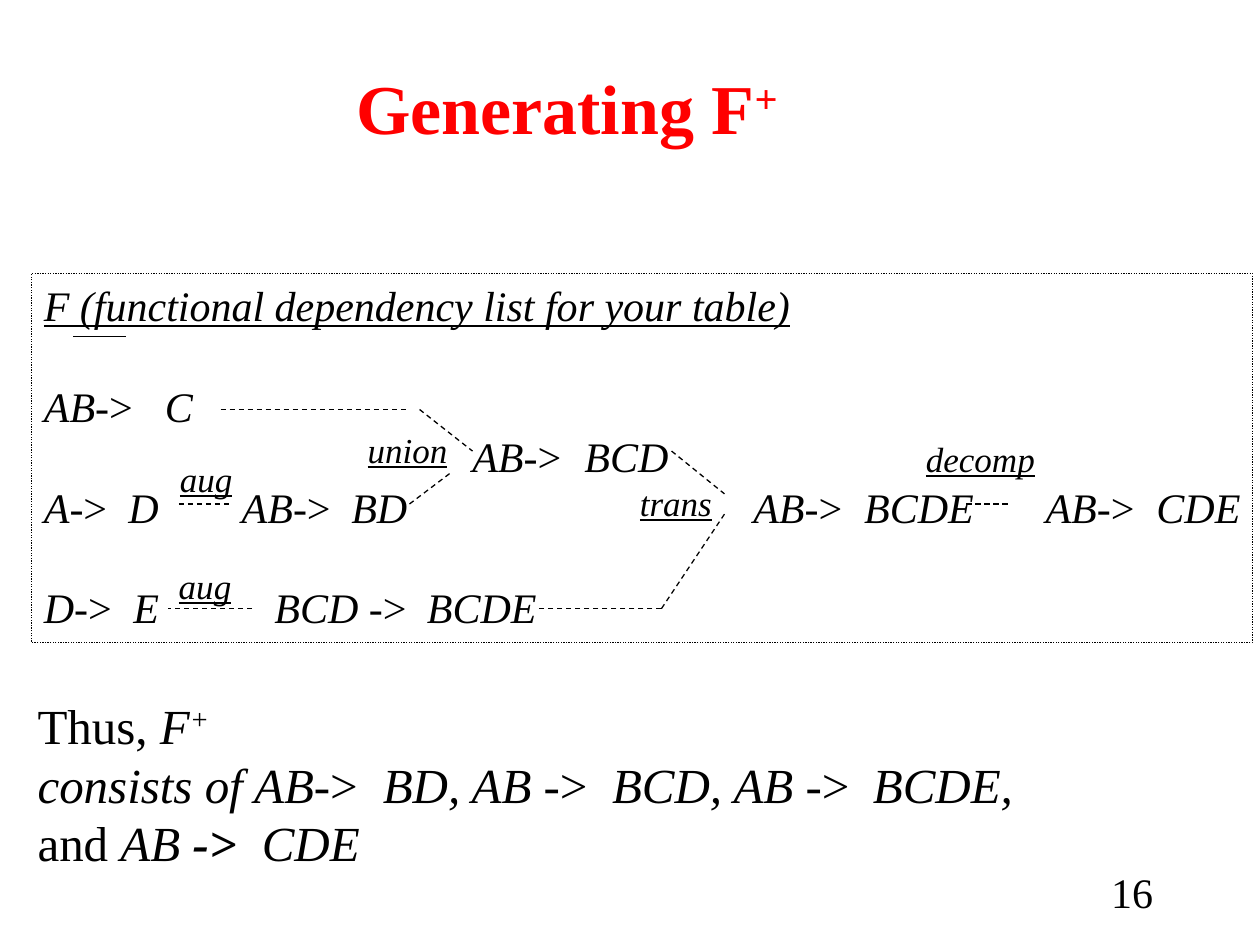
import pptx
import pptx.util
import pptx.dml.color
import pptx.enum.dml
import pptx.enum.shapes
import pptx.enum.text
import pptx.oxml.ns
from lxml import etree

Inches, Pt = pptx.util.Inches, pptx.util.Pt
ALIGN = pptx.enum.text.PP_ALIGN
ANCHOR = pptx.enum.text.MSO_ANCHOR
DASH = pptx.enum.dml.MSO_LINE
qn = pptx.oxml.ns.qn
BLACK = pptx.dml.color.RGBColor(0, 0, 0)
RED = pptx.dml.color.RGBColor(255, 0, 0)
FONT = "Times New Roman"


def dependency(left, right, arrow="", lead=""):
    """Runs of one dependency; a tab stop places its right side."""
    return [(lead + left, "i"), ("->\t", arrow), (right, "i")]


# Content: a paragraph is (runs, tab stops in inches, blank lines above)
# Run styles: i italic, u underlined, b bold, + superscript
TITLE = [([("Generating F", "b"), ("+", "b+")], [], 0)]
PANEL = [
    ([("F (functional dependency list for your table)", "iu")], [], 0),
    (dependency("AB", "C"), [0.96], 1),
    (dependency("AB", "BCD", lead="\t"), [3.4, 4.29], 0),
    (dependency("A", "D") + dependency("AB", "BD", lead="\t")
     + dependency("AB", "BCDE", lead="\t") + dependency("AB", "CDE", lead="\t"),
     [0.67, 1.57, 2.44, 5.63, 6.51, 7.95, 8.83], 0),
    (dependency("D", "E") + dependency("BCD ", "BCDE", lead="\t"),
     [0.71, 1.83, 3.04], 1),
]
CONCLUSION = [
    ([("Thus, ", ""), ("F", "i"), ("+", "i+")], [], 0),
    ([("consists of ", "i")] + dependency("AB", "BD, ")
     + dependency("AB ", "BCD, ") + dependency("AB ", "BCDE,"),
     [2.74, 4.56, 6.63], 0),
    ([("and ", "")] + dependency("AB ", "CDE", arrow="ib"), [1.78], 0),
]
RULES = [  # rule name, left, top, width
    ("union", 2.82, 3.35, 0.83), ("aug", 1.33, 3.58, 0.62),
    ("trans", 4.98, 3.77, 0.77), ("aug", 1.32, 4.43, 0.62),
    ("decomp", 7.25, 3.42, 1.07),
]
ROW_C, ROW_BCD, ROW_D, ROW_E = 3.25, 3.58, 4, 4.83
DERIVATIONS = [  # x1, y1, x2, y2
    (1.42, ROW_D, 1.83, ROW_D), (1.75, ROW_C, 3.25, ROW_C),
    (3.33, ROW_C, 3.75, ROW_BCD), (3.25, ROW_D, 3.58, 3.75),
    (5.33, ROW_BCD, 5.75, 3.92), (5.25, ROW_E, 5.75, 4.08),
    (7.67, ROW_D, 8, ROW_D), (2, ROW_E, 1.33, ROW_E),
    (5.25, ROW_E, 4.25, ROW_E),
]


def write(shape, paragraphs, size, color=BLACK, align=ALIGN.LEFT,
          anchor=ANCHOR.TOP, pitch=None, right=0):
    frame = shape.text_frame
    frame.word_wrap = True
    frame.vertical_anchor = anchor
    frame.margin_right = Inches(right)
    for index, (runs, stops, blanks) in enumerate(paragraphs):
        paragraph = frame.add_paragraph() if index else frame.paragraphs[0]
        if stops:
            tabs = etree.SubElement(paragraph._p.get_or_add_pPr(), qn("a:tabLst"))
            for stop in stops:
                etree.SubElement(tabs, qn("a:tab"), pos=str(Inches(stop)), algn="l")
        paragraph.alignment = align
        if pitch:
            paragraph.line_spacing = Pt(pitch)
            if blanks:
                paragraph.space_before = Pt(pitch * blanks)
        for text, style in runs:
            run = paragraph.add_run()
            run.text = text
            font = run.font
            font.name, font.size = FONT, Pt(size)
            font.color.rgb = color
            font.bold, font.italic = "b" in style, "i" in style
            font.underline = "u" in style
            if "+" in style:
                font._element.set("baseline", "30000")


def text_box(left, top, width, height):
    return slide.shapes.add_textbox(*map(Inches, (left, top, width, height)))


def line(ends, dash=None):
    connector = slide.shapes.add_connector(
        pptx.enum.shapes.MSO_CONNECTOR.STRAIGHT, *map(Inches, ends))
    connector.line.color.rgb = BLACK
    connector.line.width = Pt(0.75)
    if dash:
        connector.line.dash_style = dash
    etree.SubElement(connector._element.spPr, qn("a:effectLst"))


deck = pptx.Presentation()
deck.slide_width, deck.slide_height = Inches(10), Inches(7.5)
slide = deck.slides.add_slide(deck.slide_layouts[5])

# Title
title = slide.shapes.title
title.left, title.top, title.width, title.height = map(
    Inches, (0.25, 0.24, 8.5, 1.21))
write(title, TITLE, 40, RED, ALIGN.CENTER, ANCHOR.MIDDLE, right=0.1)

# Dotted panel with the dependencies
panel = slide.shapes.add_shape(
    pptx.enum.shapes.MSO_SHAPE.RECTANGLE, *map(Inches, (0.25, 2.17, 9.69, 2.93)))
panel.shadow.inherit = False
panel.fill.background()
panel.line.color.rgb = BLACK
panel.line.width = Pt(0.75)
panel.line.dash_style = DASH.ROUND_DOT
write(panel, PANEL, 24, pitch=28.8)

# Derivation lines and the short rule under F
for ends in DERIVATIONS:
    line(ends, DASH.DASH)
line((0.58, 2.67, 1, 2.67))

# Names of the inference rules
for name, left, top, width in RULES:
    write(text_box(left, top, width, 0.43), [([(name, "iu")], [], 0)], 20)

# Conclusion and page number
write(text_box(0.2, 5.47, 8.05, 1.82), CONCLUSION, 28, pitch=33.6)
write(text_box(7.17, 6.83, 2.08, 0.5), [([("16", "")], [], 0)], 24,
      align=ALIGN.RIGHT, right=0.1)

deck.save("out.pptx")
